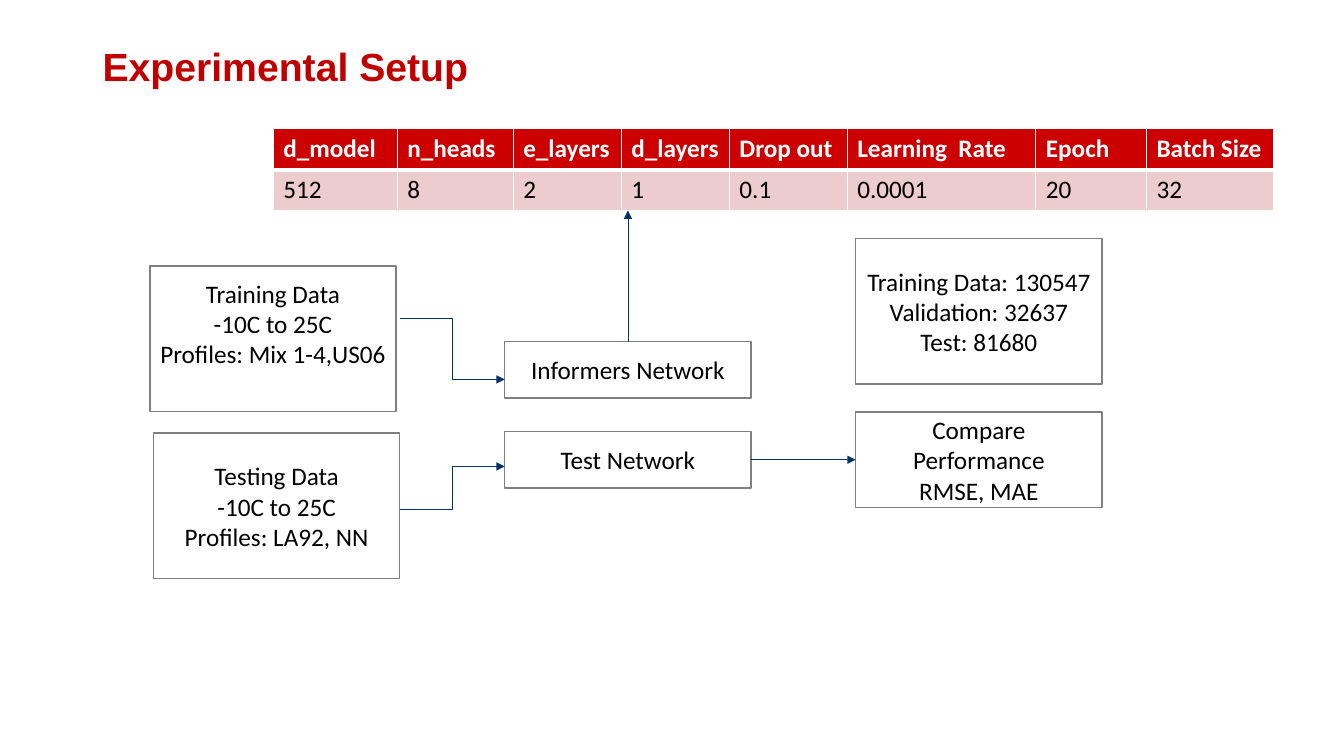
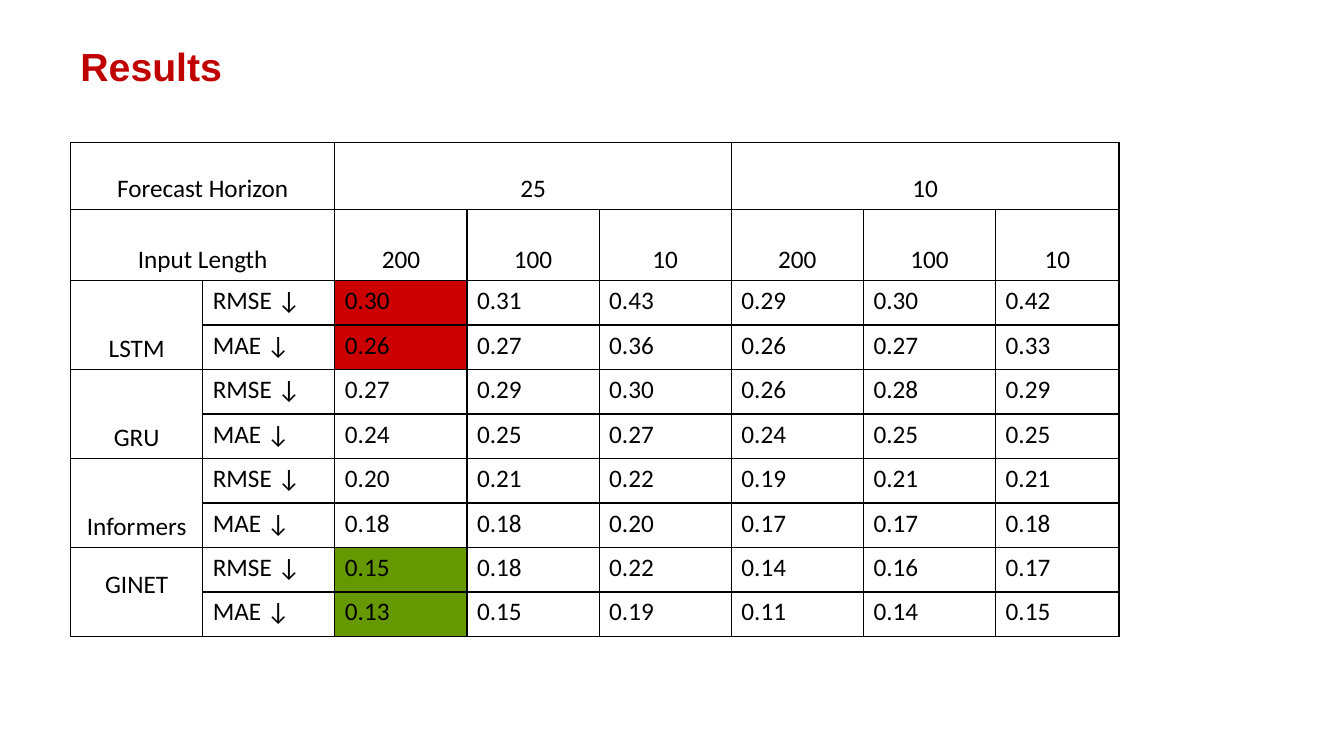
from dataclasses import dataclass

from lxml.etree import SubElement
from pptx import Presentation
from pptx.dml.color import RGBColor
from pptx.enum.shapes import MSO_CONNECTOR, MSO_SHAPE
from pptx.enum.text import MSO_ANCHOR, PP_ALIGN
from pptx.oxml import parse_xml
from pptx.oxml.ns import nsdecls, qn
from pptx.util import Pt

WHITE = RGBColor(0xFF, 0xFF, 0xFF)
BLACK = RGBColor(0, 0, 0)
GRAY = RGBColor(0x7F, 0x7F, 0x7F)
NAVY = RGBColor(0x00, 0x33, 0x66)
CRIMSON = RGBColor(0xC0, 0, 0)
RED = RGBColor(0xCC, 0, 0)
PINK = RGBColor(0xEC, 0xCC, 0xCC)
GREEN = RGBColor(0x66, 0x99, 0x00)
SIDES = ("L", "R", "T", "B")


@dataclass
class Box:
    text: str
    left: float
    top: float
    height: float
    foot: float = 3.6  # bottom inset
    width: float = 176


# Shared helpers
def style(frame, text: str, color: RGBColor = BLACK, bold: bool = False,
          align: PP_ALIGN = PP_ALIGN.LEFT, font: str = "Calibri", size: float = 18) -> None:
    frame.text = text
    for para in frame.paragraphs:
        para.alignment = align
        for run in para.runs:
            run.font.name = font
            run.font.size = Pt(size)
            run.font.bold = bold
            run.font.color.rgb = color


def add_slide(deck, title: str, left: float):
    slide = deck.slides.add_slide(deck.slide_layouts[6])
    frame = slide.shapes.add_textbox(Pt(left), Pt(25), Pt(830), Pt(48)).text_frame
    frame.word_wrap = True
    frame.vertical_anchor = MSO_ANCHOR.MIDDLE
    style(frame, title, CRIMSON, True, font="Arial", size=28)
    frame.paragraphs[0].line_spacing = 0.9
    return slide


def add_box(slide, box: Box):
    shape = slide.shapes.add_shape(MSO_SHAPE.RECTANGLE, Pt(box.left), Pt(box.top),
                                   Pt(box.width), Pt(box.height))
    shape.shadow.inherit = False
    shape.fill.solid()
    shape.fill.fore_color.rgb = WHITE
    shape.line.color.rgb = GRAY
    shape.line.width = Pt(1)
    frame = shape.text_frame
    frame.word_wrap = True
    frame.vertical_anchor = MSO_ANCHOR.MIDDLE
    frame.margin_bottom = Pt(box.foot)
    style(frame, box.text, align=PP_ALIGN.CENTER)
    return shape


def add_arrow(slide, kind: MSO_CONNECTOR, start: tuple[float, float],
              end: tuple[float, float]):
    arrow = slide.shapes.add_connector(kind, Pt(start[0]), Pt(start[1]), Pt(end[0]), Pt(end[1]))
    arrow.line.color.rgb = NAVY
    arrow.line.width = Pt(0.5)
    props = arrow._element.spPr
    SubElement(props.find(qn("a:ln")), qn("a:tailEnd"), type="triangle")
    SubElement(props, qn("a:effectLst"))
    return arrow


def add_grid(slide, left: float, top: float, cols: list[float], rows: list[float]):
    table = slide.shapes.add_table(len(rows), len(cols), Pt(left), Pt(top),
                                   Pt(sum(cols)), Pt(sum(rows))).table
    table.first_row = table.horz_banding = False
    for col, width in zip(table.columns, cols):
        col.width = Pt(width)
    for row, height in zip(table.rows, rows):
        row.height = Pt(height)
    return table


def paint(cell, fill: RGBColor, edge: RGBColor, **widths: float) -> None:
    cell.fill.solid()
    cell.fill.fore_color.rgb = fill
    props = cell._tc.get_or_add_tcPr()
    for spot, side in enumerate(SIDES):
        props.insert(spot, parse_xml(
            f'<a:ln{side} {nsdecls("a")} w="{Pt(widths.get(side, 1))}"><a:solidFill>'
            f'<a:srgbClr val="{edge}"/></a:solidFill></a:ln{side}>'))


# Experimental setup
PARAMS = [("d_model", "512", 88.6), ("n_heads", "8", 82.8), ("e_layers", "2", 77.2),
          ("d_layers", "1", 77.2), ("Drop out", "0.1", 84.2),
          ("Learning  Rate", "0.0001", 134.8), ("Epoch", "20", 79), ("Batch Size", "32", 90.8)]


def draw_setup(deck) -> None:
    slide = add_slide(deck, "Experimental Setup", 66.2)
    add_box(slide, Box("Training Data\n-10C to 25C\nProfiles: Mix 1-4,US06", 107, 190, 104, 25.2))
    add_box(slide, Box("Testing Data\n-10C to 25C\nProfiles: LA92, NN", 109.6, 309.4, 104))
    test = add_box(slide, Box("Test Network", 360.5, 308.2, 40.4))
    net = add_box(slide, Box("Informers Network", 360.5, 244, 40.4))
    score = add_box(slide, Box("Compare Performance\nRMSE, MAE", 611.2, 294.2, 68.4))
    add_box(slide, Box("Training Data: 130547\nValidation: 32637\nTest: 81680", 611.2, 170.4, 104))

    # Parameter table
    table = add_grid(slide, 195.2, 92, [width for _, _, width in PARAMS], [29.2, 29.2])
    for col, (name, value, _) in enumerate(PARAMS):
        head, body = table.cell(0, col), table.cell(1, col)
        style(head.text_frame, name, WHITE, True)
        style(body.text_frame, value)
        paint(head, RED, WHITE, B=3)
        paint(body, PINK, WHITE, T=3)

    # Arrows
    add_arrow(slide, MSO_CONNECTOR.ELBOW, (285.8, 227.5), (360.5, 271))
    add_arrow(slide, MSO_CONNECTOR.ELBOW, (285.8, 364), (360.5, 333.2))
    flow = add_arrow(slide, MSO_CONNECTOR.STRAIGHT, (536.5, 328.4), (611.2, 328.4))
    flow.begin_connect(test, 3)
    flow.end_connect(score, 1)
    rise = add_arrow(slide, MSO_CONNECTOR.STRAIGHT, (448.5, 244), (448.5, 150.4))
    rise.begin_connect(net, 0)


# Results
HEADS = [(0, 0, 2, "Forecast Horizon"), (0, 2, 3, "25"), (0, 5, 3, "10"),
         (1, 0, 2, "Input Length")]
LENGTHS = ["200", "100", "10"] * 2
SCORES = {
    "LSTM": ("0.30 0.31 0.43 0.29 0.30 0.42", "0.26 0.27 0.36 0.26 0.27 0.33"),
    "GRU": ("0.27 0.29 0.30 0.26 0.28 0.29", "0.24 0.25 0.27 0.24 0.25 0.25"),
    "Informers": ("0.20 0.21 0.22 0.19 0.21 0.21", "0.18 0.18 0.20 0.17 0.17 0.18"),
    "GINET": ("0.15 0.18 0.22 0.14 0.16 0.17", "0.13 0.15 0.19 0.11 0.14 0.15"),
}
MARKS = {"LSTM": RED, "GINET": GREEN}


def label(cell, text: str) -> None:
    cell.vertical_anchor = MSO_ANCHOR.BOTTOM
    style(cell.text_frame, text, align=PP_ALIGN.CENTER)


def draw_results(deck) -> None:
    slide = add_slide(deck, "Results", 50.4)
    table = add_grid(slide, 50.4, 101.6, [94.4] * 7 + [88.2], [47.8, 51] + [31.8] * 8)
    fills = {}

    # Head rows
    for row, col, span, text in HEADS:
        table.cell(row, col).merge(table.cell(row, col + span - 1))
        label(table.cell(row, col), text)
    for col, text in enumerate(LENGTHS, 2):
        label(table.cell(1, col), text)

    # Two score rows per model
    for num, (model, lines) in enumerate(SCORES.items()):
        top = 2 + 2 * num
        name = table.cell(top, 0)
        name.merge(table.cell(top + 1, 0))
        label(name, model)
        if model == "GINET":
            name.margin_bottom = Pt(25.6)
        for row, (kind, line) in enumerate(zip(("RMSE ↓", "MAE ↓"), lines), top):
            for col, text in enumerate([kind, *line.split()], 1):
                style(table.cell(row, col).text_frame, text)
            fills[row, 2] = MARKS.get(model, WHITE)

    for row in range(len(table.rows)):
        for col in range(len(table.columns)):
            paint(table.cell(row, col), fills.get((row, col), WHITE), BLACK)


def main() -> None:
    deck = Presentation()
    deck.slide_width, deck.slide_height = Pt(960), Pt(540)
    draw_setup(deck)
    draw_results(deck)
    deck.save("out.pptx")


if __name__ == "__main__":
    main()
